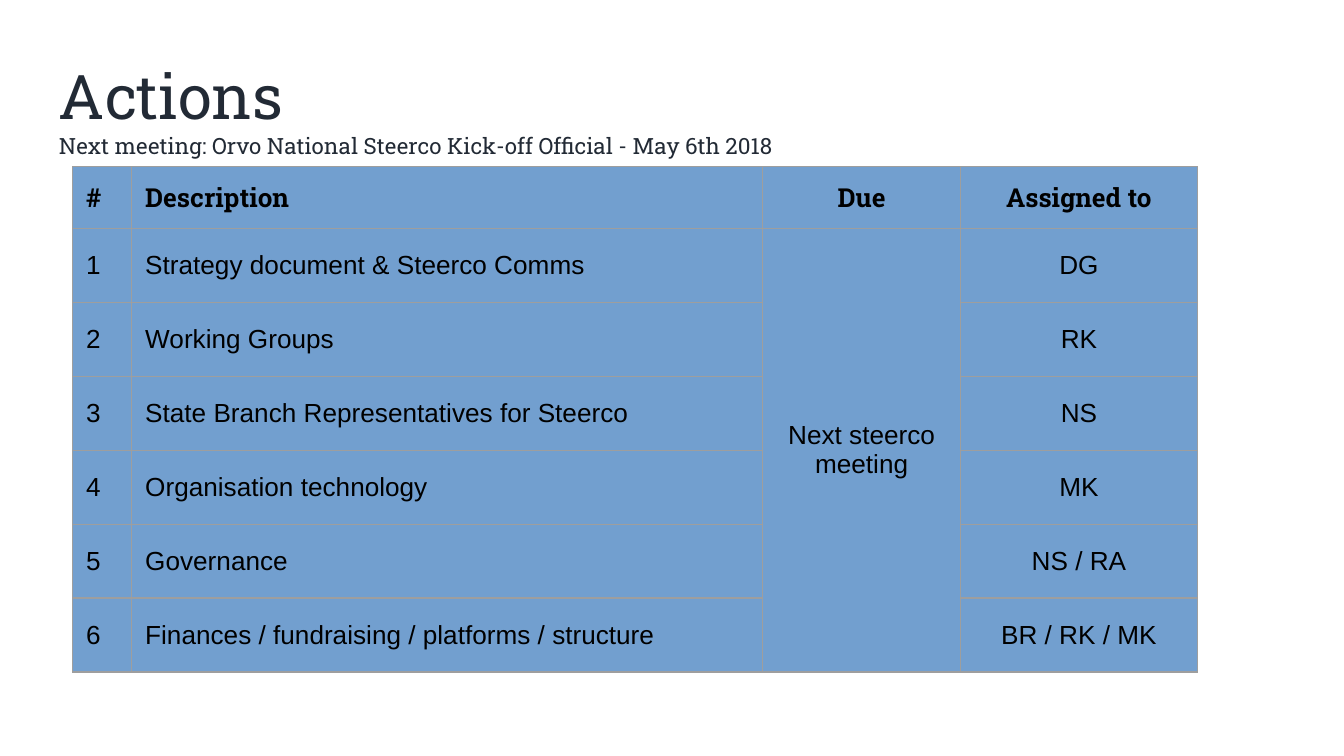
from dataclasses import dataclass

from lxml.etree import SubElement
from pptx import Presentation
from pptx.dml.color import RGBColor
from pptx.enum.text import MSO_ANCHOR, PP_ALIGN
from pptx.oxml.ns import qn
from pptx.util import Inches, Pt


@dataclass(frozen=True)
class Theme:
    heading_font: str = "Roboto Slab"
    body_font: str = "Arial"
    heading_color: str = "222A35"
    cell_text: str = "000000"
    cell_fill: str = "729FCF"
    border: str = "9E9E9E"
    border_width: float = 0.75
    title_size: int = 33
    subtitle_size: int = 12
    cell_size: int = 14


@dataclass(frozen=True)
class Box:
    left: int
    top: int
    width: int
    height: int


THEME = Theme()
SLIDE_WIDTH = Inches(10)
SLIDE_HEIGHT = SLIDE_WIDTH * 9 // 16
COLUMN_UNITS = (44, 469, 147, 176)
ROW_UNITS = (46,) + (55,) * 6
DUE_COLUMN = 2
HEADERS = ("#", "Description", "Due", "Assigned to")
DUE = "Next steerco meeting"
ACTIONS = (
    ("Strategy document & Steerco Comms", "DG"),
    ("Working Groups", "RK"),
    ("State Branch Representatives for Steerco", "NS"),
    ("Organisation technology", "MK"),
    ("Governance", "NS / RA"),
    ("Finances / fundraising / platforms / structure", "BR / RK / MK"),
)


def box_from_inches(left, top, width, height):
    return Box(*(Inches(length) for length in (left, top, width, height)))


def format_run(run, font, size, color, bold=False):
    run.font.name = font
    run.font.size = Pt(size)
    run.font.bold = bold
    run.font.color.rgb = RGBColor.from_string(color)


def add_heading(slide, box, title, subtitle):
    shape = slide.shapes.add_textbox(box.left, box.top, box.width, box.height)
    frame = shape.text_frame
    frame.word_wrap = True
    frame.vertical_anchor = MSO_ANCHOR.MIDDLE
    frame.margin_left = frame.margin_right = Inches(0.1)
    frame.margin_top = frame.margin_bottom = Inches(0.1)
    paragraph = frame.paragraphs[0]
    paragraph.text = f"{title}\v{subtitle}"
    for run, size in zip(paragraph.runs, (THEME.title_size, THEME.subtitle_size)):
        format_run(run, THEME.heading_font, size, THEME.heading_color)


def add_borders(cell):
    properties = cell._tc.get_or_add_tcPr()
    for position, side in enumerate(("a:lnL", "a:lnR", "a:lnT", "a:lnB")):
        line = SubElement(properties, qn(side), w=str(Pt(THEME.border_width)))
        fill = SubElement(line, qn("a:solidFill"))
        SubElement(fill, qn("a:srgbClr"), val=THEME.border)
        properties.insert(position, line)


def style_cell(cell, is_header, is_centered):
    cell.fill.solid()
    cell.fill.fore_color.rgb = RGBColor.from_string(THEME.cell_fill)
    cell.vertical_anchor = MSO_ANCHOR.MIDDLE
    cell.margin_left = cell.margin_right = Inches(0.1)
    cell.margin_top = cell.margin_bottom = Inches(0.05)
    add_borders(cell)
    font = THEME.heading_font if is_header else THEME.body_font
    for paragraph in cell.text_frame.paragraphs:
        paragraph.alignment = PP_ALIGN.CENTER if is_centered else PP_ALIGN.LEFT
        for run in paragraph.runs:
            format_run(run, font, THEME.cell_size, THEME.cell_text, is_header)


def add_actions_table(slide, box):
    records = [HEADERS]
    for number, (description, owner) in enumerate(ACTIONS, 1):
        records.append((str(number), description, DUE if number == 1 else "", owner))
    table = slide.shapes.add_table(
        len(records), len(HEADERS), box.left, box.top, box.width, box.height
    ).table
    for column, units in zip(table.columns, COLUMN_UNITS):
        column.width = box.width * units // sum(COLUMN_UNITS)
    for row, units in zip(table.rows, ROW_UNITS):
        row.height = box.height * units // sum(ROW_UNITS)
    for row_index, record in enumerate(records):
        for column_index, text in enumerate(record):
            cell = table.cell(row_index, column_index)
            cell.text_frame.text = text
            style_cell(cell, row_index == 0, column_index >= DUE_COLUMN)
    table.cell(1, DUE_COLUMN).merge(table.cell(len(ACTIONS), DUE_COLUMN))


def main():
    presentation = Presentation()
    presentation.slide_width = SLIDE_WIDTH
    presentation.slide_height = SLIDE_HEIGHT
    slide = presentation.slides.add_slide(presentation.slide_layouts[6])
    add_heading(
        slide,
        box_from_inches(0.34, 0.49, 9.32, 0.63),
        "Actions",
        "Next meeting: Orvo National Steerco Kick-off Official - May 6th 2018",
    )
    add_actions_table(slide, box_from_inches(0.54, 1.24, 8.37, 3.76))
    presentation.save("out.pptx")


if __name__ == "__main__":
    main()
